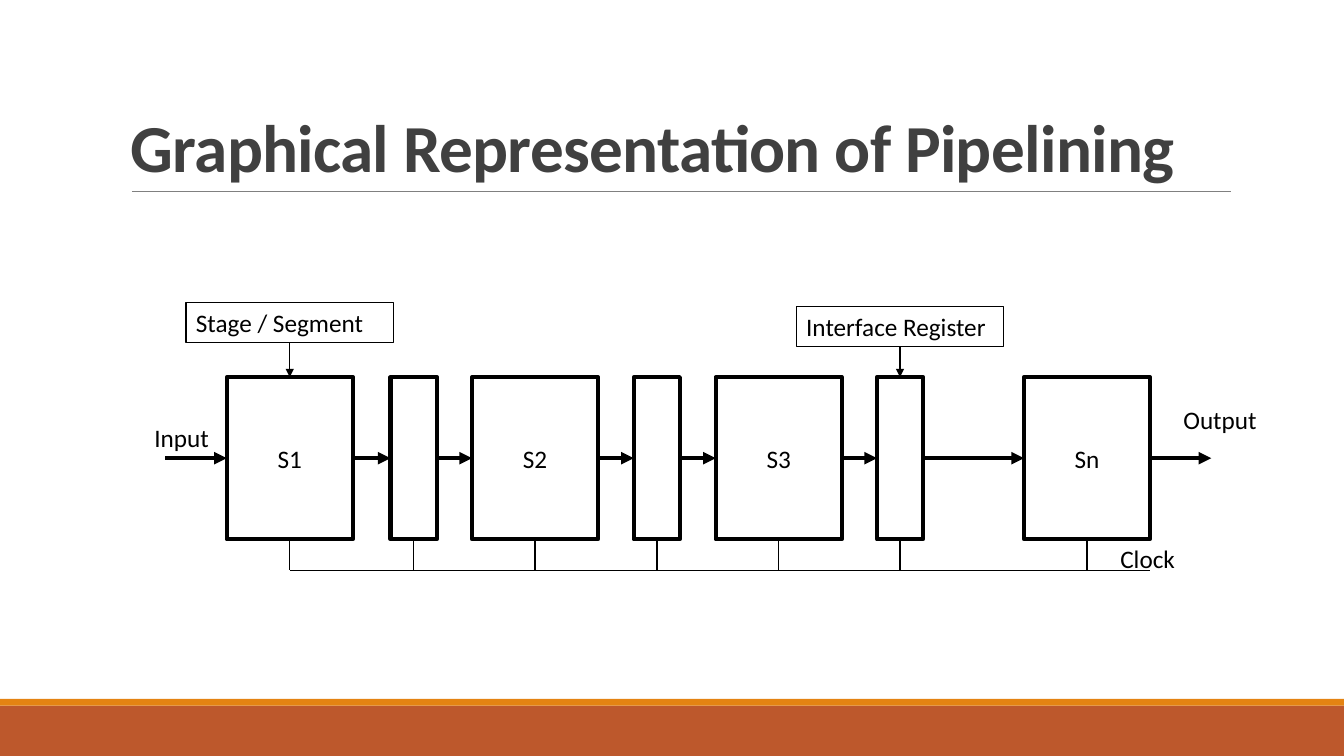
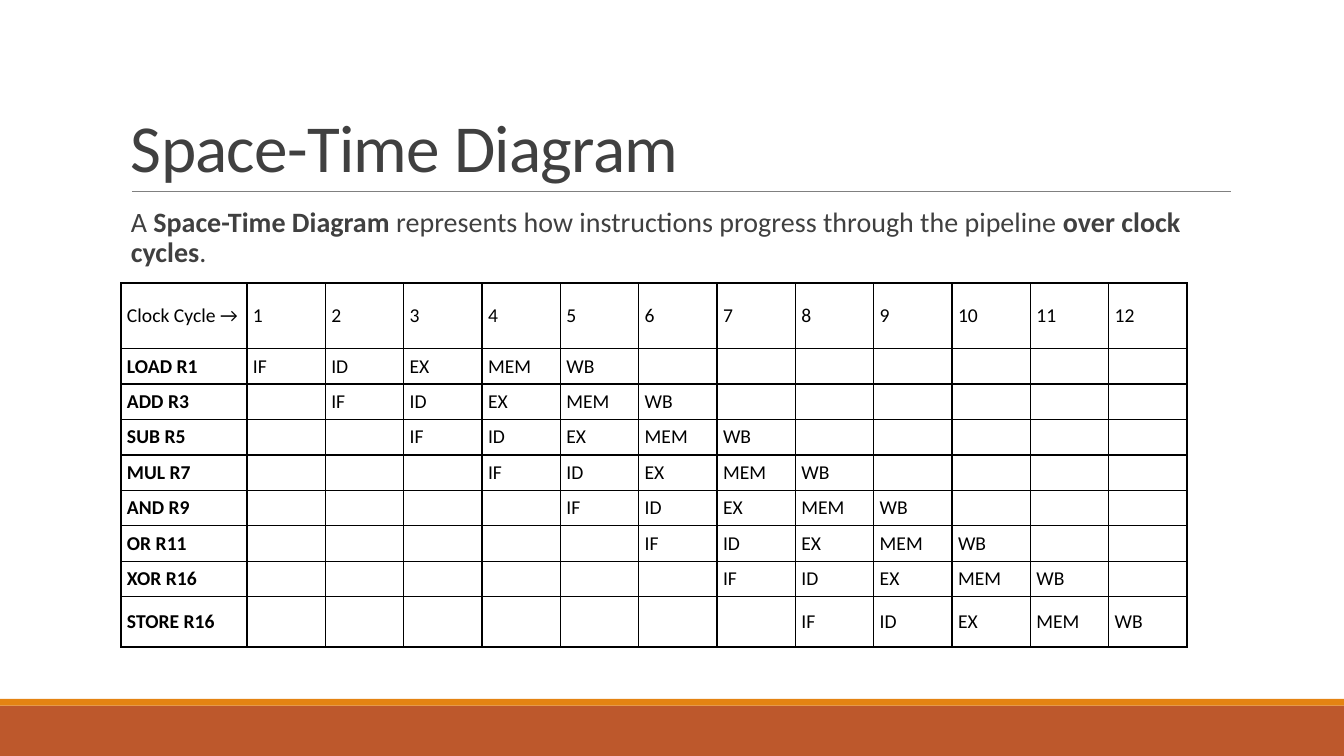
from lxml import etree
from pptx import Presentation, util as u
from pptx.dml.color import RGBColor
from pptx.enum import shapes, text
from pptx.oxml import ns

BLACK = RGBColor(0x00, 0x00, 0x00)
DARK = RGBColor(0x40, 0x40, 0x40)
GRAY = RGBColor(0x80, 0x80, 0x80)
RUST = RGBColor(0xBD, 0x58, 0x2C)
ORANGE = RGBColor(0xE4, 0x83, 0x12)

COLUMNS, ROWS = 160, 90
CELL = u.Inches(7.5) / ROWS
TOP, LEFT, BOTTOM, RIGHT = range(4)  # connection sites of a rectangle


def grid(*counts):
    """Turn counts of grid columns or rows into lengths."""
    return [u.Emu(round(count * CELL)) for count in counts]


class Deck:
    font = "Calibri"

    def __init__(self):
        self.prs = Presentation()
        self.prs.slide_width, self.prs.slide_height = grid(COLUMNS, ROWS)
        self.slide = None

    def new_slide(self, title, bold=False):
        self.slide = self.prs.slides.add_slide(self.prs.slide_layouts[6])
        self.box((0, 84, COLUMNS, 6), fill=RUST)
        self.box((0, 83.2, COLUMNS, 0.8), fill=ORANGE)
        self.line((15.7, 22.8), (146.5, 22.8), 0.5, GRAY)
        heading = self.label((14.4, 3.7, 132, 19.1), [(title, bold)], 48, DARK, 0.85)
        heading.vertical_anchor = text.MSO_ANCHOR.BOTTOM
        heading.paragraphs[0].runs[0].font._element.set("spc", "-50")

    def put_text(self, paragraph, runs, size, color=BLACK, spacing=None):
        """Fill a paragraph with (wording, bold) runs."""
        paragraph.line_spacing = spacing
        for wording, bold in runs:
            run = paragraph.add_run()
            run.text = wording
            if bold:
                run.font.bold = True
        font = paragraph.font
        font.name, font.size = self.font, u.Pt(size)
        font.color.rgb = color

    def label(self, place, runs, size=18, color=BLACK, spacing=None):
        frame = self.slide.shapes.add_textbox(*grid(*place)).text_frame
        frame.word_wrap = True
        self.put_text(frame.paragraphs[0], runs, size, color, spacing)
        return frame

    def box(self, place, wording="", fill=None, outline=None,
            align=text.PP_ALIGN.CENTER):
        shape = self.slide.shapes.add_shape(
            shapes.MSO_SHAPE.RECTANGLE, *grid(*place))
        shape.shadow.inherit = False
        if fill is None:
            shape.fill.background()
        else:
            shape.fill.solid()
            shape.fill.fore_color.rgb = fill
        if outline is None:
            shape.line.fill.background()
        else:
            shape.line.color.rgb = BLACK
            shape.line.width = u.Pt(outline)
        if wording:
            paragraph = shape.text_frame.paragraphs[0]
            paragraph.alignment = align
            self.put_text(paragraph, [(wording, False)], 18)
        return shape

    def line(self, start, end, width, color=BLACK, arrow=False):
        """Draw a line; each end is a grid point or a (shape, site) pair."""
        joined = [not isinstance(point[0], (int, float)) for point in (start, end)]
        points = [(0, 0) if join else point
                  for join, point in zip(joined, (start, end))]
        connector = self.slide.shapes.add_connector(
            shapes.MSO_CONNECTOR.STRAIGHT, *grid(*points[0], *points[1]))
        if joined[0]:
            connector.begin_connect(*start)
        if joined[1]:
            connector.end_connect(*end)
        connector.line.color.rgb = color
        connector.line.width = u.Pt(width)
        if arrow:
            etree.SubElement(connector.line._get_or_add_ln(),
                             ns.qn("a:tailEnd"), type="triangle")
        etree.SubElement(connector._element.spPr, ns.qn("a:effectLst"))

    def arrow(self, start, end, width=3):
        self.line(start, end, width, arrow=True)

    def table(self, corner, widths, heights, rows):
        """Draw a table with a plain first row and bold row heads below it."""
        size = sum(widths), sum(heights)
        table = self.slide.shapes.add_table(
            len(rows), len(widths), *grid(*corner, *size)).table
        table.first_row = table.horz_banding = False
        for column, width in zip(table.columns, grid(*widths)):
            column.width = width
        for row, height in zip(table.rows, grid(*heights)):
            row.height = height
        for r, wordings in enumerate(rows):
            for c, wording in enumerate(wordings):
                self.fill_cell(table.cell(r, c), wording, bold=r > 0 and c == 0)

    def fill_cell(self, cell, wording, bold):
        cell.margin_left = cell.margin_right = u.Inches(0.06)
        cell.margin_top = cell.margin_bottom = u.Inches(0.03)
        cell.vertical_anchor = text.MSO_ANCHOR.MIDDLE
        properties = cell._tc.get_or_add_tcPr()
        for side in ("lnL", "lnR", "lnT", "lnB"):
            border = etree.SubElement(properties, ns.qn(f"a:{side}"),
                                      w=str(u.Pt(1)))
            fill = etree.SubElement(border, ns.qn("a:solidFill"))
            etree.SubElement(fill, ns.qn("a:srgbClr"), val=str(BLACK))
        cell.fill.background()
        paragraph = cell.text_frame.paragraphs[0]
        self.put_text(paragraph, [(wording, bold)] if wording else [], 14)
        # An empty cell takes its line height from the end mark.
        paragraph._p.get_or_add_endParaRPr().set("sz", "1400")


def pipeline_slide(deck):
    deck.new_slide("Graphical Representation of Pipelining", bold=True)
    block_top, block_height, middle, clock_y = 44.9, 19.3, 54.55, 67.9
    stage_width, register_width = 15, 5.5
    stage_lefts = {"S1": 27, "S2": 56.2, "S3": 85.2, "Sn": 121.9}
    register_lefts = [46.5, 75.45, 104.4]

    stages = [deck.box((left, block_top, stage_width, block_height), name, outline=3)
              for name, left in stage_lefts.items()]
    registers = [deck.box((left, block_top, register_width, block_height), outline=3)
                 for left in register_lefts]

    blocks = stages[:1]
    for register, stage in zip(registers, stages[1:]):
        blocks += [register, stage]
    for source, target in zip(blocks, blocks[1:]):
        deck.arrow((source, RIGHT), (target, LEFT))
    deck.arrow((19.7, middle), (blocks[0], LEFT))
    deck.arrow((blocks[-1], RIGHT), (144.2, middle))

    centers = sorted([left + stage_width / 2 for left in stage_lefts.values()]
                     + [left + register_width / 2 for left in register_lefts])
    for block, center in zip(blocks, centers):
        deck.line((block, BOTTOM), (center, clock_y), 1)
    deck.line((centers[0], clock_y), (136.9, clock_y), 1)

    callout_width = 24.7
    for wording, top, block, center in (
            ("Stage / Segment", 36, blocks[0], centers[0]),
            ("Interface Register", 36.5, blocks[-2], centers[-2])):
        callout = deck.box((center - callout_width / 2, top, callout_width, 4.8),
                           wording, outline=0.75, align=text.PP_ALIGN.LEFT)
        deck.arrow((callout, BOTTOM), (block, TOP), 1)

    for wording, left, top in (("Input", 17.2, 49.7), ("Output", 139.7, 47.5),
                               ("Clock", 132.2, 64.1)):
        deck.label((left, top, 12, 4.8), [(wording, False)])


def space_time_slide(deck):
    deck.new_slide("Space-Time Diagram")
    deck.label((14.4, 24.2, 132, 9), [
        ("A ", False), ("Space-Time Diagram", True),
        (" represents how instructions progress through the pipeline ", False),
        ("over clock cycles", True), (".", False)], 20, DARK, 0.9)

    instructions = ["LOAD R1", "ADD R3", "SUB R5", "MUL R7",
                    "AND R9", "OR R11", "XOR R16", "STORE R16"]
    phases = ["IF", "ID", "EX", "MEM", "WB"]
    cycles = len(instructions) + len(phases) - 1
    rows = [["Clock Cycle →"] + [str(cycle + 1) for cycle in range(cycles)]]
    for delay, instruction in enumerate(instructions):
        idle = cycles - delay - len(phases)
        rows.append([instruction] + [""] * delay + phases + [""] * idle)
    deck.table((14.4, 33.7), [15] + [9.33] * cycles,
               [7.8] + [4.22] * (len(instructions) - 1) + [6], rows)


def main():
    deck = Deck()
    pipeline_slide(deck)
    space_time_slide(deck)
    deck.prs.save("out.pptx")


if __name__ == "__main__":
    main()
